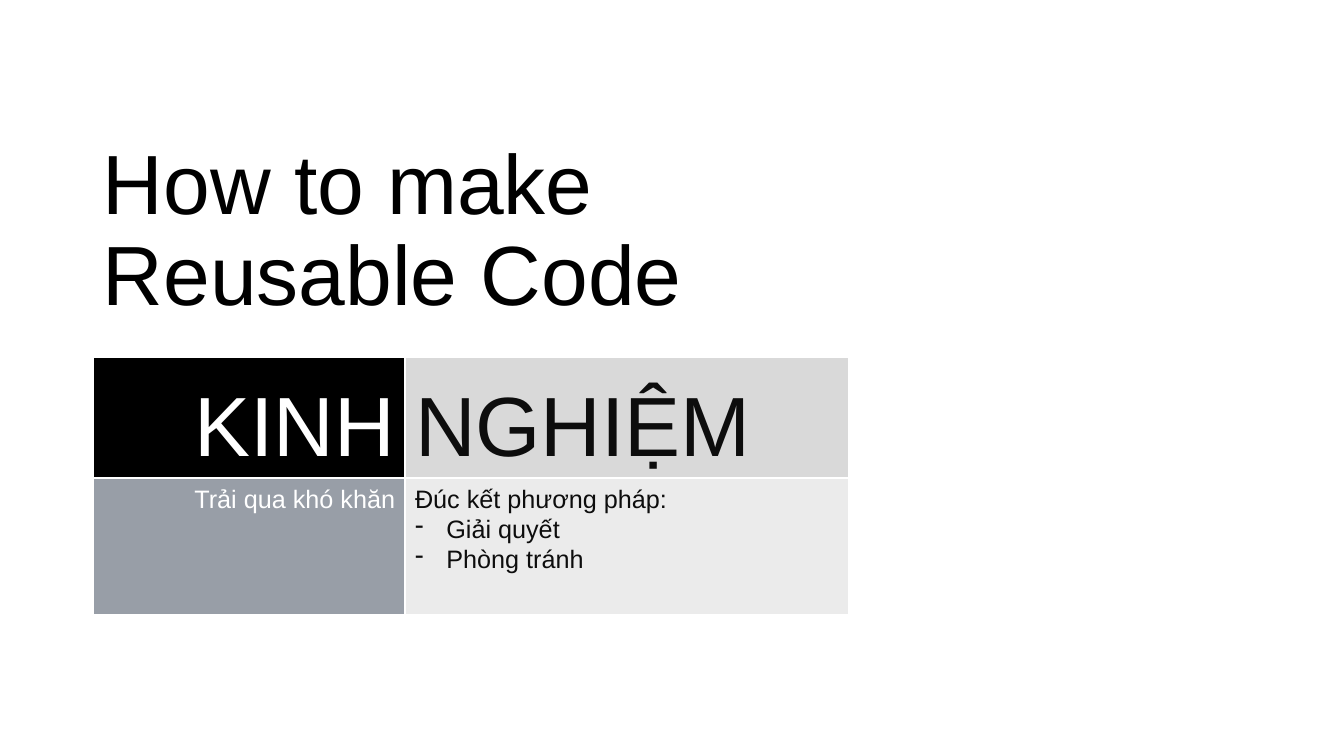
from lxml.etree import SubElement
from pptx import Presentation
from pptx.dml.color import RGBColor
from pptx.enum.shapes import MSO_SHAPE
from pptx.enum.text import MSO_ANCHOR, PP_ALIGN
from pptx.oxml.ns import qn
from pptx.util import Cm, Pt

FONT = "Arial"
WHITE, BLACK, INK = "FFFFFF", "000000", "0D0D0D"
SLATE, SILVER = "333F50", "D9D9D9"
HEADING_SIZE, BODY_SIZE = 60, 18
BULLET_INDENT = Cm(0.79)


def rgb(hex_code):
    return RGBColor.from_string(hex_code)


def add_dash(paragraph):
    properties = paragraph._p.get_or_add_pPr()
    properties.set("marL", str(BULLET_INDENT))
    properties.set("indent", str(-BULLET_INDENT))
    SubElement(properties, qn("a:buFontTx"))
    SubElement(properties, qn("a:buChar"), char="-")


def write(frame, lines, size=BODY_SIZE, color=INK, align=PP_ALIGN.LEFT,
          anchor=MSO_ANCHOR.TOP, spacing=None, dashed_from=None):
    """Fill a text frame; lines from index dashed_from on get a dash."""
    frame.word_wrap = True
    frame.vertical_anchor = anchor
    for index, line in enumerate(lines):
        paragraph = frame.paragraphs[0] if index == 0 else frame.add_paragraph()
        if dashed_from is not None and index >= dashed_from:
            add_dash(paragraph)
        paragraph.text = line
        paragraph.alignment = align
        paragraph.line_spacing = spacing
        for run in paragraph.runs:
            run.font.name = FONT
            run.font.size = Pt(size)
            run.font.color.rgb = rgb(color)


def add_title(slide, left, top, width, height):
    title = slide.shapes.add_textbox(left, top, width, height)
    write(title.text_frame, ["How to make\vReusable Code"], size=HEADING_SIZE,
          color=BLACK, anchor=MSO_ANCHOR.BOTTOM, spacing=0.9)


def add_panel(shapes, box, fill, lines, opacity=None, **text_format):
    panel = shapes.add_shape(MSO_SHAPE.RECTANGLE, *box)
    panel.shadow.inherit = False
    panel.fill.solid()
    panel.fill.fore_color.rgb = rgb(fill)
    if opacity is not None:
        fill_color = panel._element.spPr.find(qn("a:solidFill"))[0]
        SubElement(fill_color, qn("a:alpha"), val=str(opacity * 1000))
    panel.line.color.rgb = rgb(WHITE)
    panel.line.width = Pt(1.5)
    write(panel.text_frame, lines, **text_format)


def add_experience(slide, left, top, width, height):
    """Two columns, each with a heading panel above a translucent body panel."""
    shapes = slide.shapes.add_group_shape().shapes
    hardship_width, heading_height = Cm(7.87), Cm(3.05)
    method_left, body_top = left + hardship_width, top + heading_height
    method_width, body_height = width - hardship_width, height - heading_height

    columns = [
        (left, hardship_width, BLACK, SLATE, "KINH", ["Trải qua khó khăn"],
         {"color": WHITE, "align": PP_ALIGN.RIGHT}),
        (method_left, method_width, SILVER, SILVER, "NGHIỆM",
         ["Đúc kết phương pháp:", "Giải quyết", "Phòng tránh"], {}),
    ]
    for x, column_width, heading_fill, body_fill, heading, body, style in columns:
        add_panel(shapes, (x, top, column_width, heading_height), heading_fill,
                  [heading], size=HEADING_SIZE, anchor=MSO_ANCHOR.BOTTOM, **style)
        add_panel(shapes, (x, body_top, column_width, body_height), body_fill,
                  body, opacity=50, dashed_from=1, **style)


def main():
    presentation = Presentation()
    presentation.slide_width, presentation.slide_height = Cm(33.87), Cm(19.05)
    slide = presentation.slides.add_slide(presentation.slide_layouts[6])
    margin = Cm(2.34)
    add_title(slide, margin, Cm(1.98), Cm(29.21), Cm(6.3))
    add_experience(slide, margin, Cm(9), Cm(19.05), Cm(6.5))
    presentation.save("out.pptx")


if __name__ == "__main__":
    main()
